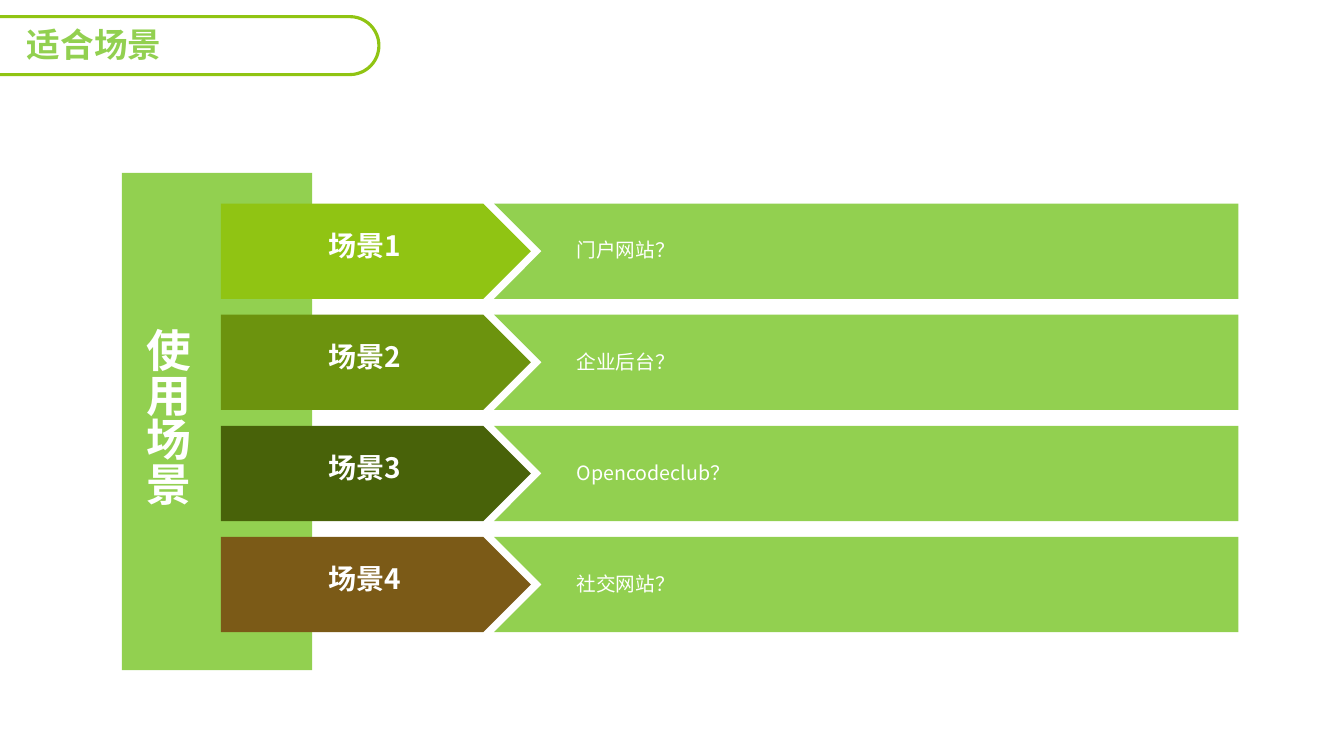
from pptx import Presentation
from pptx.dml.color import RGBColor
from pptx.enum.shapes import MSO_SHAPE
from pptx.enum.text import MSO_ANCHOR, MSO_AUTO_SIZE, PP_ALIGN
from pptx.oxml.ns import qn
from pptx.util import Cm, Pt
from lxml.etree import SubElement

FONT = "Noto Sans CJK SC"
WHITE = RGBColor(0xFF, 0xFF, 0xFF)
LIGHT_GREEN = RGBColor(0x92, 0xD0, 0x50)
GREEN = RGBColor(0x90, 0xC4, 0x13)
OLIVE = RGBColor(0x6C, 0x93, 0x0E)
DARK_OLIVE = RGBColor(0x48, 0x62, 0x09)
BROWN = RGBColor(0x7B, 0x5A, 0x17)

TITLE = "适合场景"
PANEL_TEXT = "使用场景"
SCENARIOS = [
    ("场景1", "门户网站？", GREEN),
    ("场景2", "企业后台？", OLIVE),
    ("场景3", "Opencodeclub？", DARK_OLIVE),
    ("场景4", "社交网站？", BROWN),
]

# Row geometry in centimetres
FIRST_TOP, ROW_PITCH, ROW_HEIGHT = 5.13, 2.8, 2.4
ARROW_LEFT, ARROW_WIDTH = 5.57, 7.81
BAND_LEFT, BAND_RIGHT = 12.45, 31.21
LABEL_OFFSET, DESCRIPTION_OFFSET = 0.63, 0.94


def paint(shape, fill, line=None):
    """Give a shape a flat fill and an optional outline."""
    shape.shadow.inherit = False
    shape.fill.solid()
    shape.fill.fore_color.rgb = fill
    if line is None:
        shape.line.fill.background()
    else:
        shape.line.color.rgb = line
        shape.line.width = Pt(2.25)


def add_block(slide, kind, box, fill, line=None):
    """Add a painted preset shape; box is left, top, width, height in cm."""
    shape = slide.shapes.add_shape(kind, *map(Cm, box))
    paint(shape, fill, line)
    return shape


def write(shape, text, size, color=WHITE, bold=False, align=PP_ALIGN.LEFT,
          margins=(0, 0), wrap=True):
    """Write one formatted paragraph and return it."""
    frame = shape.text_frame
    frame.word_wrap = wrap
    frame.auto_size = MSO_AUTO_SIZE.SHAPE_TO_FIT_TEXT
    frame.vertical_anchor = MSO_ANCHOR.TOP
    frame.margin_left = frame.margin_right = Cm(margins[0])
    frame.margin_top = frame.margin_bottom = Cm(margins[1])
    paragraph = frame.paragraphs[0]
    paragraph.text = text
    paragraph.alignment = align
    font = paragraph.font
    font.name, font.size, font.bold = FONT, Pt(size), bold
    font.color.rgb = color
    for run in paragraph.runs:
        properties = run.font._element
        for tag in ("a:latin", "a:ea"):
            SubElement(properties, qn(tag)).set("typeface", FONT)
    return paragraph


def add_text(slide, box, text, size, **style):
    """Add a text box and return its shape and paragraph."""
    shape = slide.shapes.add_textbox(*map(Cm, box))
    return shape, write(shape, text, size, **style)


def add_band(slide, top):
    """Add the notched band that follows a scenario arrow."""
    middle, bottom = top + ROW_HEIGHT / 2, top + ROW_HEIGHT
    corners = [(BAND_RIGHT, top), (BAND_RIGHT, bottom), (BAND_LEFT, bottom),
               (BAND_LEFT + ROW_HEIGHT / 2, middle)]
    builder = slide.shapes.build_freeform(Cm(BAND_LEFT), Cm(top))
    builder.add_line_segments([(Cm(x), Cm(y)) for x, y in corners])
    paint(builder.convert_to_shape(), LIGHT_GREEN)


def add_scenario(slide, top, label, description, color):
    """Add one row: arrow, band, label and description."""
    add_block(slide, MSO_SHAPE.PENTAGON,
              (ARROW_LEFT, top, ARROW_WIDTH, ROW_HEIGHT), color)
    add_band(slide, top)
    add_text(slide, (6.91, top + LABEL_OFFSET, 4.55, 0.86), label, 20,
             bold=True, align=PP_ALIGN.CENTER)
    _, paragraph = add_text(slide, (14.53, top + DESCRIPTION_OFFSET, 15.47, 0.53),
                            description, 14, align=PP_ALIGN.JUSTIFY)
    paragraph.line_spacing = Pt(15)


def add_title(slide):
    """Add the rounded banner and place the title on top of it."""
    banner = add_block(slide, MSO_SHAPE.ROUNDED_RECTANGLE,
                       (-1.17, 0.42, 10.72, 1.46), WHITE, GREEN)
    banner.adjustments[0] = 0.5
    title = slide.shapes.title
    title.left, title.top, title.width, title.height = map(
        Cm, (0.43, 0.46, 3.96, 1.27))
    write(title, TITLE, 24, LIGHT_GREEN, bold=True,
          margins=(0.25, 0.13), wrap=False)
    slide.shapes.element.append(title.element)


def add_panel(slide):
    """Add the side panel with its vertical heading."""
    add_block(slide, MSO_SHAPE.RECTANGLE, (3.07, 4.36, 4.8, 12.53), LIGHT_GREEN)
    heading, _ = add_text(slide, (3.3, 8.08, 1.85, 5.08), PANEL_TEXT, 32,
                          bold=True, margins=(0.33, 0.18))
    frame = heading.text_frame
    frame.auto_size = MSO_AUTO_SIZE.NONE
    frame.vertical_anchor = MSO_ANCHOR.MIDDLE
    heading.element.find(".//" + qn("a:bodyPr")).set("vert", "eaVert")


presentation = Presentation()
presentation.slide_width, presentation.slide_height = Cm(33.87), Cm(19.05)
slide = presentation.slides.add_slide(presentation.slide_layouts[5])
add_panel(slide)
for index, scenario in enumerate(SCENARIOS):
    add_scenario(slide, FIRST_TOP + index * ROW_PITCH, *scenario)
add_title(slide)
presentation.save("out.pptx")
